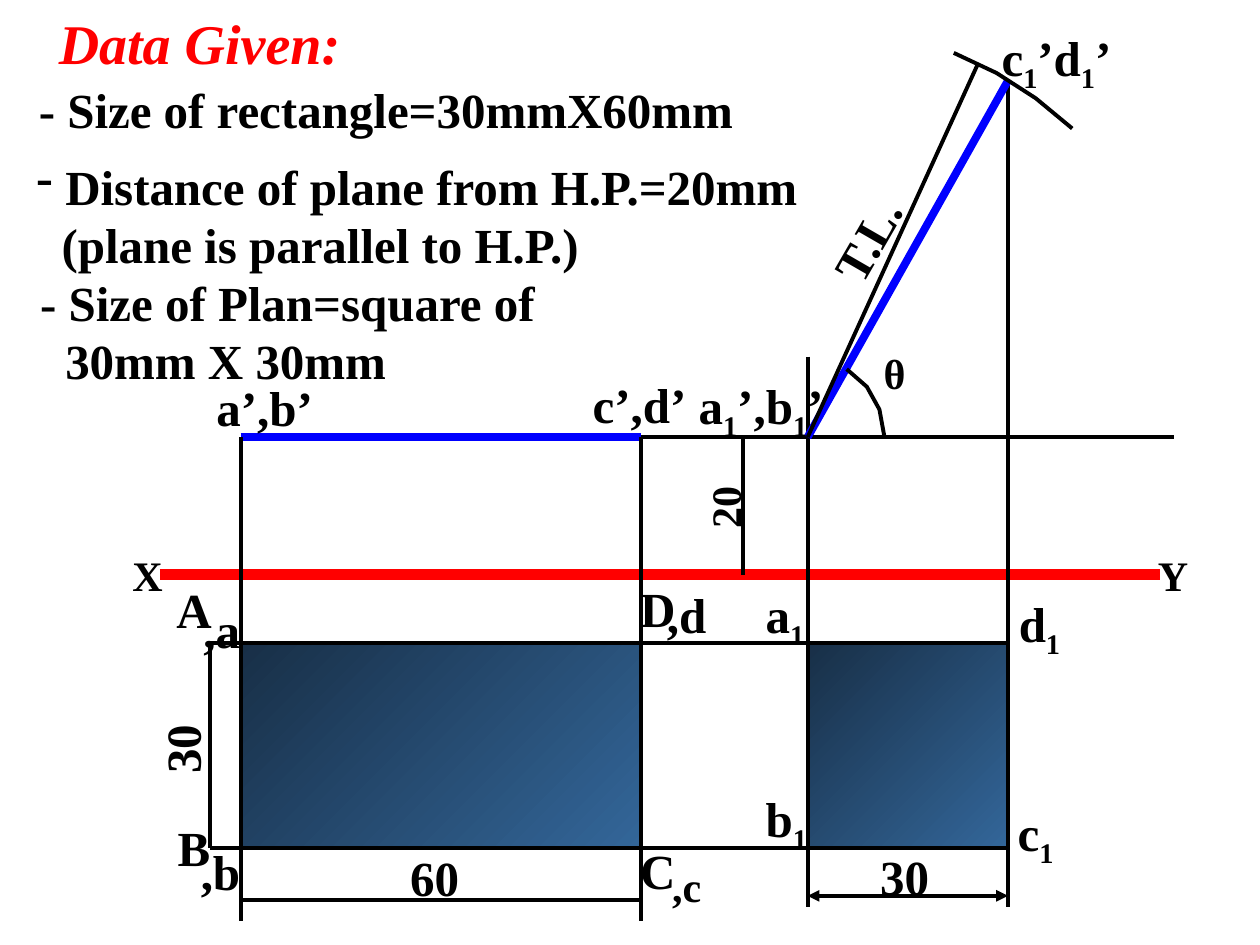
from lxml.etree import SubElement
from pptx import Presentation
from pptx.dml.color import RGBColor
from pptx.enum.shapes import MSO_CONNECTOR, MSO_SHAPE
from pptx.enum.text import MSO_ANCHOR, PP_ALIGN
from pptx.oxml.ns import qn
from pptx.util import Inches, Pt

BLACK = RGBColor(0, 0, 0)
RED = RGBColor(255, 0, 0)
BLUE = RGBColor(0, 0, 255)
NAVY = RGBColor(0x18, 0x2F, 0x47)
STEEL = RGBColor(0x33, 0x66, 0x99)
BASE = {"name": "Times New Roman", "bold": True, "italic": False}
FRAME = {
    "word_wrap": True,
    "vertical_anchor": MSO_ANCHOR.TOP,
    "margin_left": Inches(0.1),
    "margin_right": Inches(0.1),
    "margin_top": Inches(0.05),
    "margin_bottom": Inches(0.05),
}


def apply(item, values):
    for key, value in values.items():
        setattr(item, key, value)


def style(run, size=28, color=BLACK, **more):
    apply(run.font, {**BASE, "size": Pt(size), **more})
    run.font.color.rgb = color


def text_box(slide, x, y, w, h):
    box = slide.shapes.add_textbox(Inches(x), Inches(y), Inches(w), Inches(h))
    apply(box.text_frame, FRAME)
    return box


def label(slide, x, y, text, w=0.7, size=28, turn=0):
    subs = "_" in text
    h = 0.5 if size == 24 else 0.63 if subs else 0.57
    box = text_box(slide, x, y, w, h)
    box.rotation = turn
    para = box.text_frame.paragraphs[0]
    para.alignment = PP_ALIGN.CENTER
    for i, part in enumerate(text.split("_")):
        pieces = [(part, False)] if i == 0 else [(part[0], True), (part[1:], False)]
        for word, low in pieces:
            if word:
                run = para.add_run()
                run.text = word
                style(run, size)
                if low:
                    run.font._element.set("baseline", "-25000")


def line(slide, x1, y1, x2, y2, color=BLACK, width=2.25, arrows=False):
    rule = slide.shapes.add_connector(
        MSO_CONNECTOR.STRAIGHT, Inches(x1), Inches(y1), Inches(x2), Inches(y2))
    rule.line.color.rgb = color
    rule.line.width = Pt(width)
    if arrows:
        for end in ("a:headEnd", "a:tailEnd"):
            SubElement(rule.line._get_or_add_ln(), qn(end), type="triangle")
    SubElement(rule._element.spPr, qn("a:effectLst"))


def curve(slide, points):
    spots = [(Inches(x), Inches(y)) for x, y in points]
    path = slide.shapes.build_freeform(*spots[0])
    path.add_line_segments(spots[1:], close=False)
    arc = path.convert_to_shape()
    arc.shadow.inherit = False
    arc.fill.background()
    arc.line.color.rgb = BLACK
    arc.line.width = Pt(2.25)


def panel(slide, x, y, w, h):
    rect = slide.shapes.add_shape(
        MSO_SHAPE.RECTANGLE, Inches(x), Inches(y), Inches(w), Inches(h))
    rect.shadow.inherit = False
    rect.fill.gradient()
    rect.fill.gradient_angle = 315
    for stop, color in zip(rect.fill.gradient_stops, (NAVY, STEEL)):
        stop.color.rgb = color
    rect.line.color.rgb = BLACK
    rect.line.width = Pt(2.25)


def heading(slide, x, y, w, h):
    title = slide.shapes.title
    apply(title, {"left": Inches(x), "top": Inches(y),
                  "width": Inches(w), "height": Inches(h)})
    apply(title.text_frame, FRAME)
    para = title.text_frame.paragraphs[0]
    para.alignment = PP_ALIGN.CENTER
    run = para.add_run()
    run.text = "Data Given:"
    style(run, 32, RED, italic=True)


def notes(slide, x, y, w):
    rows = [
        (0.02, 0, 0.57, ["- Size of rectangle=30mmX60mm"], 0, 0),
        (0, 0.61, 1.04, ["Distance of plane from H.P.=20mm",
                         "(plane is parallel to H.P.)"], 0.23, 0.2),
        (0.03, 1.53, 1.04, ["- Size of Plan=square of\v30mm X 30mm"], 0.2, 0),
    ]
    for dx, dy, h, texts, first, rest in rows:
        frame = text_box(slide, x + dx, y + dy, w, h).text_frame
        for i, text in enumerate(texts):
            para = frame.paragraphs[0] if i == 0 else frame.add_paragraph()
            for j, part in enumerate(text.split("\v")):
                if j:
                    para.add_line_break()
                run = para.add_run()
                run.text = part
                style(run)
            props = para._p.get_or_add_pPr()
            props.set("marL", str(Inches(rest if i else first)))
            props.set("indent", str(0 if i else -Inches(first)))
            if len(texts) > 1 and i == 0:
                SubElement(props, qn("a:buChar"), char="-")


def ground(slide, x, y, w):
    line(slide, x, y, x + w, y, RED, 6)
    for dx, name in ((-0.45, "X"), (w - 0.25, "Y")):
        label(slide, x + dx, y - 0.25, name, size=24)


def front(slide, x, y, w, h):
    line(slide, x, y, x + 7.41, y)
    line(slide, x, y, x + w, y, BLUE, 4.5)
    for edge in (x, x + w):
        line(slide, edge, y, edge, y + h)
    line(slide, x + 3.99, y, x + 3.99, y + 1.09)
    label(slide, x - 0.43, y - 0.52, "a’,b’", 1.24)
    label(slide, x + 2.56, y - 0.55, "c’,d’", 1.21)
    label(slide, x + 3.48, y + 0.31, "20", 0.72, 24, 270)


def plan(slide, x, y, w, h, gap):
    right, foot, side = x + w, y + h, x - 0.24
    panel(slide, x, y, w, h)
    for level in (y, foot):
        line(slide, right, level, right + gap, level)
        line(slide, x, level, side, level)
    for edge in (x, right):
        line(slide, edge, foot, edge, foot + 0.58)
    line(slide, side, y, side, foot)
    line(slide, x, foot + 0.41, right, foot + 0.41)
    label(slide, x - 0.83, y + 0.56, "30", 0.72, turn=270)
    label(slide, x + 1.19, foot - 0.05, "60")
    for dx, dy, name, size in (
        (-0.72, -0.55, "A", 28), (-0.5, -0.39, ",a", 28),
        (-0.72, h - 0.29, "B", 28), (-0.51, h - 0.1, ",b", 28),
        (w - 0.22, h - 0.11, "C", 28), (w + 0.01, h + 0.05, ",c", 24),
        (w - 0.22, -0.56, "D", 28), (w + 0.01, -0.51, ",d", 28),
    ):
        label(slide, x + dx, y + dy, name, size=size)


def tilt(slide, x, y, w, h):
    top = y - h
    line(slide, x, y, x + w, top, BLUE, 4.5)
    line(slide, x, y, x + 1.35, top - 0.13)
    curve(slide, [(x + dx, top + dy) for dx, dy in
                  ((2.1, 0.38), (1.81, 0.14), (1.5, -0.06), (1.16, -0.22))])
    curve(slide, [(x + dx, y + dy) for dx, dy in
                  ((0.61, 0), (0.57, -0.22), (0.47, -0.4), (0.31, -0.54))])
    label(slide, x - 0.99, y - 0.54, "a_1’,b_1’", 1.24)
    label(slide, x + 0.34, y - 0.76, "θ", size=24)
    label(slide, x + 1.39, top - 0.47, "c_1’d_1’", 1.17)
    label(slide, x - 0.01, top + 0.98, "T.L.", 0.96, turn=300)


def square(slide, x, y, w, h):
    right, foot = x + w, y + h
    panel(slide, x, y, w, h)
    line(slide, x, y - 2.27, x, foot + 0.47)
    line(slide, right, y - 4.46, right, foot + 0.47)
    line(slide, x, foot + 0.38, right, foot + 0.38, arrows=True)
    label(slide, x + 0.42, foot - 0.06, "30")
    for dx, dy, name in ((-0.53, -0.51, "a_1"), (-0.52, h - 0.52, "b_1"),
                         (w - 0.13, h - 0.41, "c_1"), (w - 0.1, -0.44, "d_1")):
        label(slide, x + dx, y + dy, name)


def main():
    deck = Presentation()
    deck.slide_width, deck.slide_height = Inches(10), Inches(7.5)
    slide = deck.slides.add_slide(deck.slide_layouts[5])
    heading(slide, 0, 0.02, 3.17, 0.64)
    notes(slide, 0.19, 0.58, 8)
    ground(slide, 1.27, 4.56, 7.94)
    front(slide, 1.91, 3.47, 3.18, 1.63)
    plan(slide, 1.91, 5.1, 3.18, 1.63, 1.32)
    square(slide, 6.41, 5.1, 1.59, 1.63)
    tilt(slide, 6.41, 3.47, 1.59, 2.83)
    deck.save("out.pptx")


if __name__ == "__main__":
    main()
